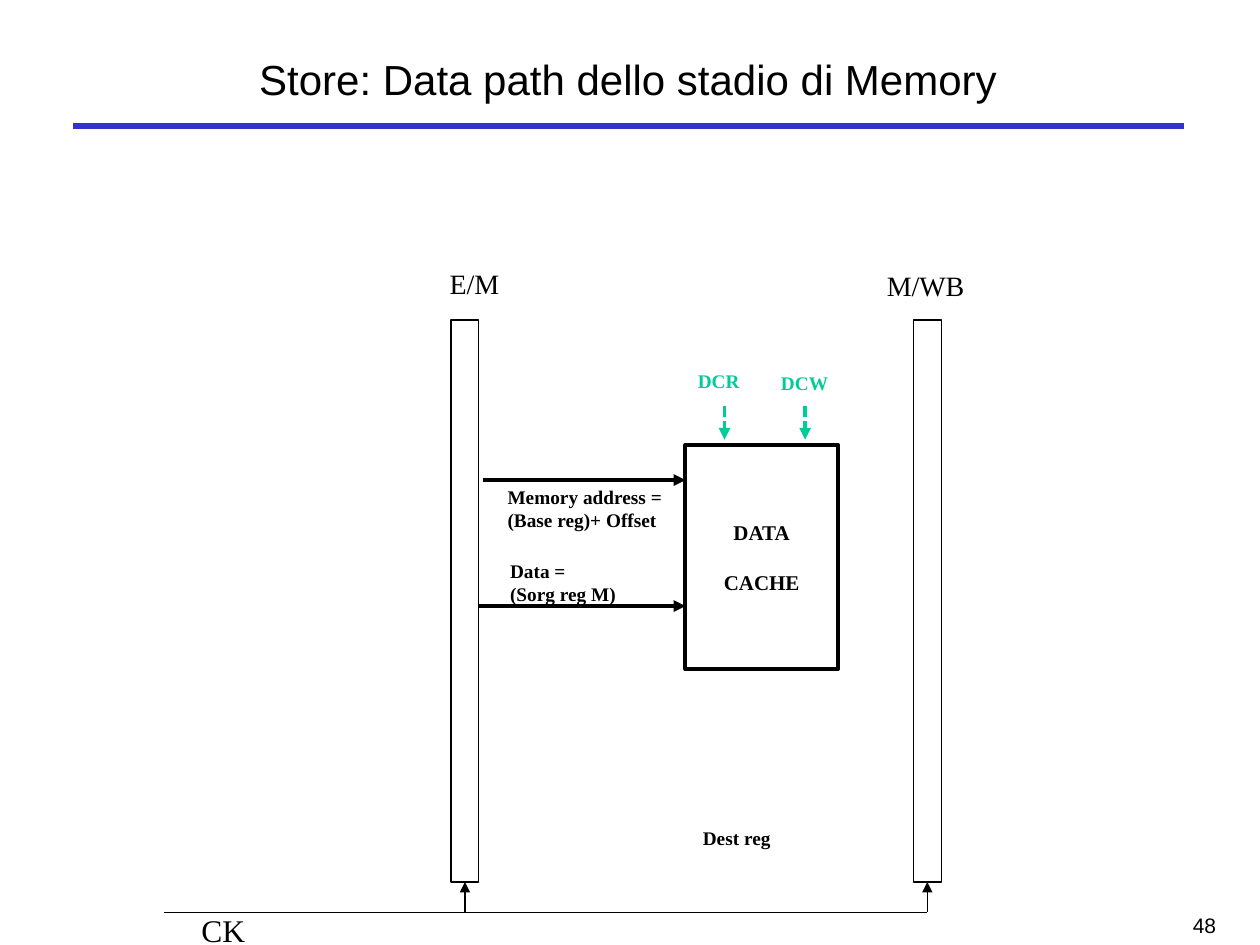
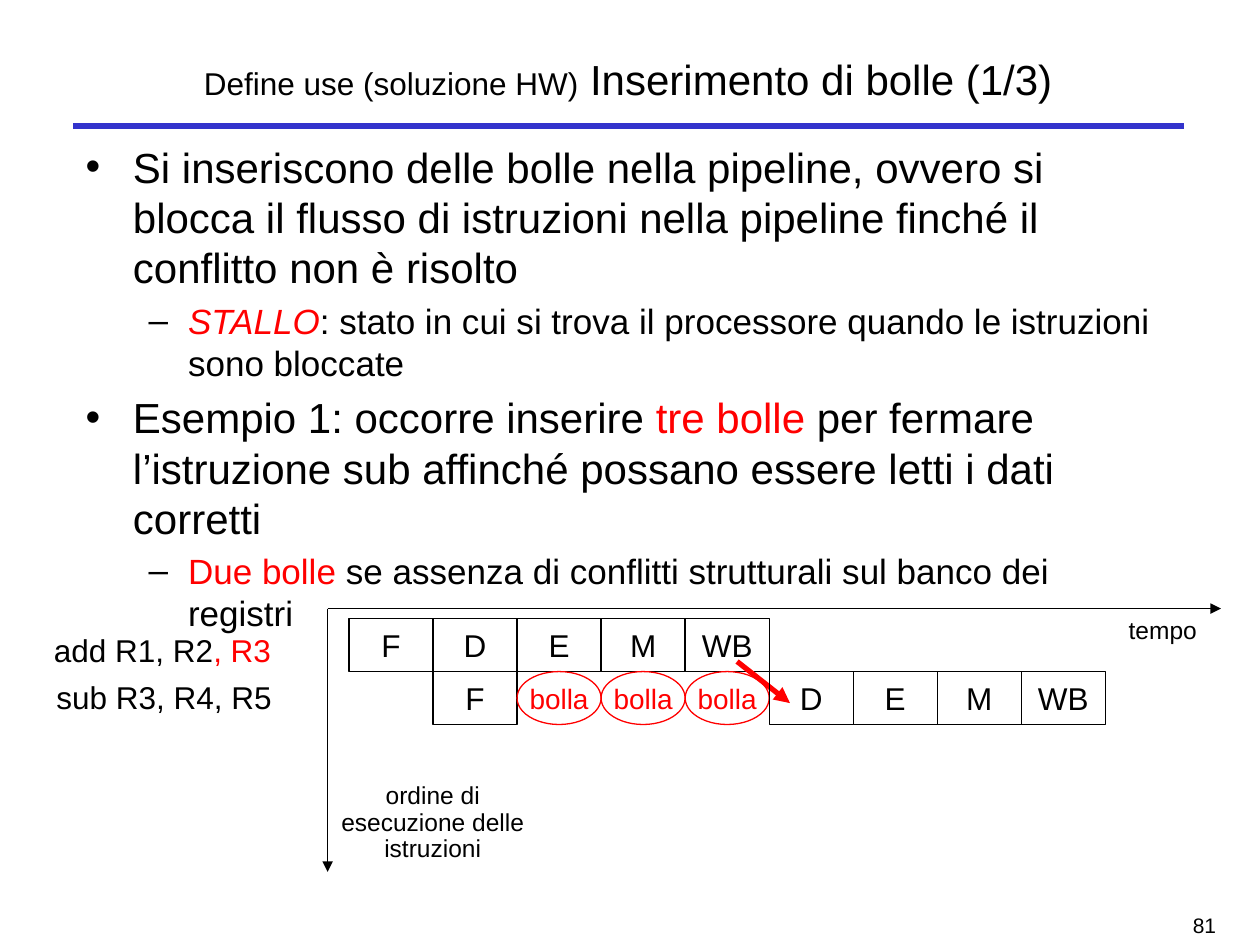
"""Build two slides on the memory stage and on bubbles in a pipeline."""
from pptx import Presentation
from pptx.dml.color import RGBColor
from pptx.enum.dml import MSO_LINE
from pptx.enum.shapes import MSO_CONNECTOR, MSO_SHAPE
from pptx.enum.text import MSO_ANCHOR, MSO_AUTO_SIZE, PP_ALIGN
from pptx.oxml.ns import qn
from pptx.util import Inches, Pt
from lxml import etree

BLACK = RGBColor(0x00, 0x00, 0x00)
WHITE = RGBColor(0xFF, 0xFF, 0xFF)
BLUE = RGBColor(0x33, 0x33, 0xCC)
GREEN = RGBColor(0x00, 0xCC, 0x99)
RED = RGBColor(0xFF, 0x00, 0x00)
SANS, SERIF = "Arial", "Times New Roman"

STRAIGHT = MSO_CONNECTOR.STRAIGHT
RECT, OVAL = MSO_SHAPE.RECTANGLE, MSO_SHAPE.OVAL
LEFT, CENTER, RIGHT = PP_ALIGN.LEFT, PP_ALIGN.CENTER, PP_ALIGN.RIGHT
MIDDLE, NO_FIT = MSO_ANCHOR.MIDDLE, MSO_AUTO_SIZE.NONE
DASH = MSO_LINE.SQUARE_DOT
BOTTOM_SIDE = 2

TITLE_ONLY, TITLE_AND_BODY = 5, 1
CELL_W, CELL_H = 0.667, 0.42
CELLS_LEFT, CELLS_TOP = 2.77, 4.91


def place(sp, left, top, width, height):
    """Move and size a shape, in inches."""
    sp.left, sp.top = Inches(left), Inches(top)
    sp.width, sp.height = Inches(width), Inches(height)


def style(r, size, color=BLACK, font=SANS, bold=False, italic=False):
    """Format one run."""
    r.font.size, r.font.name = Pt(size), font
    r.font.bold, r.font.italic = bold, italic
    r.font.color.rgb = color


def write(tf, lines, size, color=BLACK, font=SANS, bold=False, align=LEFT):
    """Fill a text frame with lines of one format."""
    tf.text = "\n".join(lines)
    for p in tf.paragraphs:
        p.alignment = align
        for r in p.runs:
            style(r, size, color, font, bold)


def add_runs(p, runs):
    """Add (text, size, colour, italic) runs to a paragraph."""
    for text, size, color, italic in runs:
        r = p.add_run()
        r.text = text
        style(r, size, color, italic=italic)


def add_label(slide, left, top, width, height, text, size, **fmt):
    """Add a wrapped text box and return its text frame."""
    sp = slide.shapes.add_textbox(Inches(left), Inches(top),
                                  Inches(width), Inches(height))
    tf = sp.text_frame
    tf.word_wrap = True
    write(tf, text.split("\n"), size, **fmt)
    return tf


def add_box(slide, left, top, width, height, kind=RECT, line=BLACK,
            weight=0.75, fill=None):
    """Add an outlined shape with centred text space."""
    sp = slide.shapes.add_shape(kind, Inches(left), Inches(top),
                                Inches(width), Inches(height))
    sp.shadow.inherit = False
    if fill is None:
        sp.fill.background()
    else:
        sp.fill.solid()
        sp.fill.fore_color.rgb = fill
    sp.line.color.rgb = line
    sp.line.width = Pt(weight)
    tf = sp.text_frame
    tf.word_wrap = False
    tf.vertical_anchor = MIDDLE
    tf.margin_left = tf.margin_right = 0
    tf.margin_top = tf.margin_bottom = 0
    return sp


def add_line(slide, x1, y1, x2, y2, color=BLACK, weight=0.75,
             arrow=True, dash=None):
    """Add a straight line, with an arrowhead at its end by default."""
    line = slide.shapes.add_connector(STRAIGHT, Inches(x1), Inches(y1),
                                      Inches(x2), Inches(y2))
    line.line.color.rgb = color
    line.line.width = Pt(weight)
    if dash is not None:
        line.line.dash_style = dash
    sp_pr = line._element.spPr
    if arrow:
        etree.SubElement(sp_pr.find(qn("a:ln")), qn("a:tailEnd"), type="triangle")
    etree.SubElement(sp_pr, qn("a:effectLst"))
    return line


def add_slide(prs, layout, title_runs, number):
    """Add a slide with the shared rule, title and page number."""
    slide = prs.slides.add_slide(prs.slide_layouts[layout])
    add_line(slide, 0.58, 1, 9.4, 1, BLUE, 3.75, arrow=False)
    title = slide.shapes.title
    place(title, 0.61, 0.25, 8.75, 0.75)
    tf = title.text_frame
    tf.auto_size, tf.vertical_anchor = NO_FIT, MIDDLE
    tf.paragraphs[0].alignment = CENTER
    add_runs(tf.paragraphs[0], title_runs)
    add_label(slide, 7.67, 7.19, 2.08, 0.31, number, 12, align=RIGHT)
    return slide


def add_bullets(slide, items):
    """Fill the body placeholder with (level, runs) items."""
    body = slide.placeholders[1]
    place(body, 0.58, 1.07, 8.75, 4.83)
    tf = body.text_frame
    tf.auto_size = NO_FIT
    for i, (level, runs) in enumerate(items):
        p = tf.paragraphs[0] if i == 0 else tf.add_paragraph()
        p.level = level
        bullet = etree.SubElement(p._p.get_or_add_pPr(), qn("a:buClr"))
        etree.SubElement(bullet, qn("a:srgbClr"), val=str(BLACK))
        add_runs(p, runs)


def add_stages(slide, row, first_column, stages):
    """Add consecutive pipeline stages, with bubbles as red ovals."""
    for column, stage in enumerate(stages, first_column):
        bubble = stage == "bolla"
        color = RED if bubble else BLACK
        sp = add_box(slide, CELLS_LEFT + column * CELL_W, CELLS_TOP + row * CELL_H,
                     CELL_W, CELL_H, OVAL if bubble else RECT, color)
        write(sp.text_frame, [stage], 16 if bubble else 18, color, align=CENTER)


def add_register(slide, left, clock_y):
    """Add a pipeline register and its clock arrow."""
    sp = add_box(slide, left, 2.54, 0.22, 4.46, fill=WHITE)
    clock = add_line(slide, left + 0.11, clock_y, left + 0.11, 7)
    clock.end_connect(sp, BOTTOM_SIDE)


def build_memory_stage(prs):
    """Build the data path of a store in the memory stage."""
    slide = add_slide(prs, TITLE_ONLY,
                      [("Store: Data path dello stadio di Memory", 24, BLACK, False)],
                      "48")
    clock_y = 7.24
    add_line(slide, 1.3, clock_y, 7.36, clock_y, arrow=False)
    for left in (3.58, 7.25):
        add_register(slide, left, clock_y)

    cache = add_box(slide, 5.44, 3.53, 1.21, 1.78, weight=2.25, fill=WHITE)
    write(cache.text_frame, ["DATA", "CACHE"], 12, font=SERIF, bold=True, align=CENTER)
    cache.text_frame.paragraphs[1].space_before = Pt(14)
    for start, y in ((3.83, 3.81), (3.79, 4.81)):
        add_line(slide, start, y, 5.44, y, weight=2.25)

    for left, top, width, text, size in (
            (1.5, 7.18, 0.7, "CK", 18),
            (3.47, 2.07, 0.8, "E/M", 16),
            (6.94, 2.08, 1, "M/WB", 16)):
        add_label(slide, left, top, width, 0.37, text, size, font=SERIF)
    for left, top, width, height, text in (
            (3.93, 3.8, 1.5, 0.47, "Memory address =\n(Base reg)+ Offset"),
            (3.95, 4.39, 1.26, 0.47, "Data =\n(Sorg reg M)"),
            (5.48, 6.51, 1.5, 0.29, "Dest reg")):
        add_label(slide, left, top, width, height, text, 11, font=SERIF, bold=True)

    for left, top, text, x in ((5.44, 2.88, "DCR", 5.75), (6.1, 2.9, "DCW", 6.39)):
        add_label(slide, left, top, 0.64, 0.29, text, 11,
                  color=GREEN, font=SERIF, bold=True)
        add_line(slide, x, 3.22, x, 3.49, GREEN, 2.25, dash=DASH)


def build_bubbles(prs):
    """Build the bullets and pipeline diagram on bubbles."""
    slide = add_slide(prs, TITLE_AND_BODY,
                      [("Define use (soluzione HW)", 18, BLACK, False),
                       (" Inserimento di bolle (1/3)", 24, BLACK, False)], "81")
    add_bullets(slide, [
        (0, [("Si inseriscono delle bolle nella pipeline, ovvero si blocca il flusso "
              "di istruzioni nella pipeline finché il conflitto non è risolto",
              24, BLACK, False)]),
        (1, [("STALLO", 20, RED, True),
             (": stato in cui si trova il processore quando le istruzioni "
              "sono bloccate", 20, BLACK, False)]),
        (0, [("Esempio 1: occorre inserire ", 24, BLACK, False),
             ("tre bolle", 24, RED, False),
             (" per fermare l’istruzione sub affinché possano essere letti "
              "i dati corretti", 24, BLACK, False)]),
        (1, [("Due bolle", 20, RED, False),
             (" se assenza di conflitti strutturali sul banco dei registri",
              20, BLACK, False)]),
    ])

    add_line(slide, 2.6, 4.83, 9.69, 4.83)
    add_line(slide, 2.6, 4.83, 2.6, 6.92)
    add_label(slide, 8.86, 4.83, 0.9, 0.31, "tempo", 14)
    order = add_label(slide, 2.52, 6.17, 1.83, 0.73,
                      "ordine di esecuzione delle istruzioni", 14, align=CENTER)
    order.paragraphs[0].line_spacing = 0.9

    add_instruction = add_label(slide, 0.33, 4.96, 2.1, 0.37, "add R1, R2", 18)
    add_runs(add_instruction.paragraphs[0], [(", R3", 18, RED, False)])
    add_label(slide, 0.35, 5.33, 2.1, 0.37, "sub R3, R4, R5", 18)

    add_stages(slide, 0, 0, ["F", "D", "E", "M", "WB"])
    add_line(slide, 5.85, 5.25, 6.27, 5.58, RED, 3)
    add_stages(slide, 1, 1, ["F"] + ["bolla"] * 3 + ["D", "E", "M", "WB"])


def main():
    """Build and save the presentation."""
    prs = Presentation()
    prs.slide_width, prs.slide_height = Inches(10), Inches(7.5)
    build_memory_stage(prs)
    build_bubbles(prs)
    prs.save("out.pptx")


if __name__ == "__main__":
    main()
